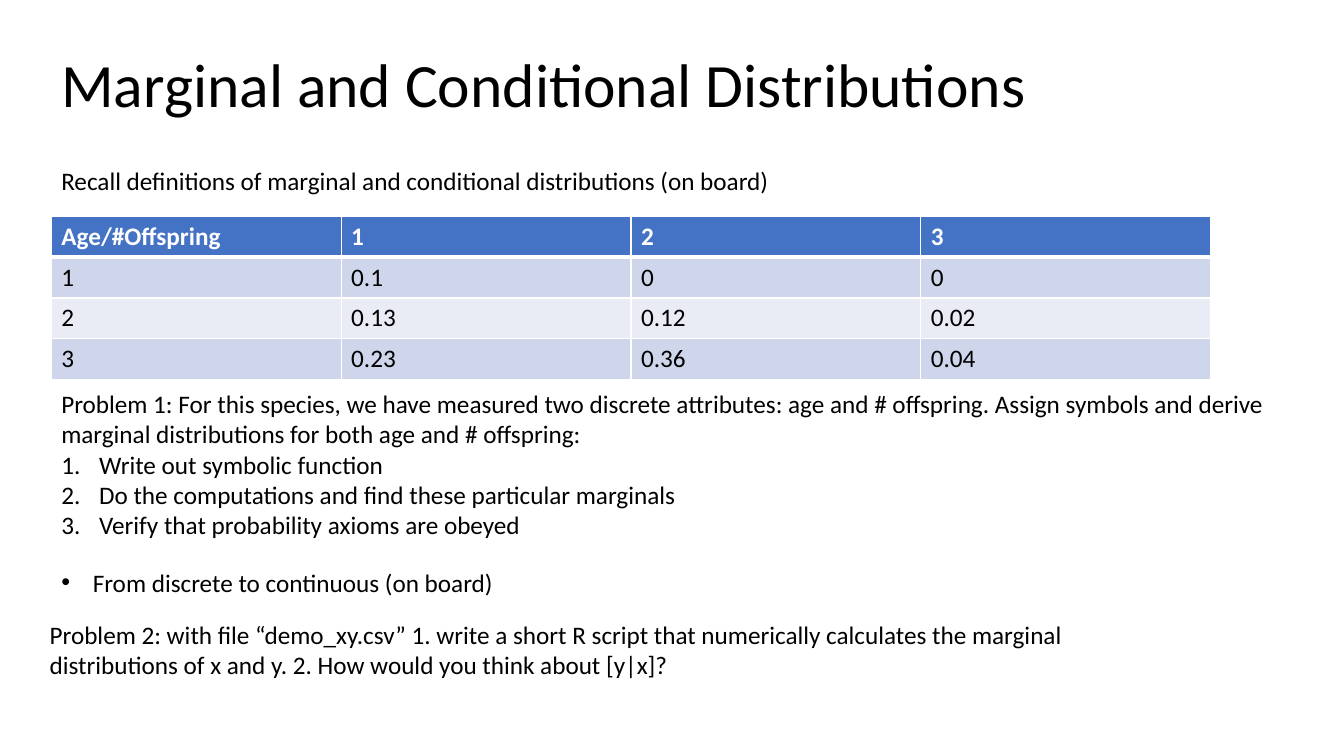
"""Build the marginal and conditional distributions slide."""
from lxml.etree import SubElement
from pptx import Presentation
from pptx.dml.color import RGBColor
from pptx.enum.text import MSO_ANCHOR
from pptx.oxml.ns import qn
from pptx.util import Pt

BLACK = RGBColor(0, 0, 0)
WHITE = RGBColor(255, 255, 255)
HEADER = RGBColor(0x44, 0x72, 0xC4)
BANDS = [RGBColor(0xE9, 0xEB, 0xF5), RGBColor(0xCF, 0xD5, 0xEA)]
LEFT = 36.7


def add_run(p, text, size=18, color=BLACK, bold=False):
    r = p.add_run()
    r.text = text
    for name, value in {"name": "Calibri", "size": Pt(size), "bold": bold}.items():
        setattr(r.font, name, value)
    r.font.color.rgb = color


def add_text(box, paragraphs, size=18, wrap=True):
    tf = s.shapes.add_textbox(*map(Pt, box)).text_frame
    tf.word_wrap = wrap
    for i, (text, bullet) in enumerate(paragraphs):
        p = tf.add_paragraph() if i else tf.paragraphs[0]
        add_run(p, text, size)
        if bullet:
            tag, key, value, indent = bullet
            pPr = p._p.get_or_add_pPr()
            pPr.set("marL", str(Pt(indent)))
            pPr.set("indent", str(-Pt(indent)))
            SubElement(pPr, qn("a:buFont"), typeface="Arial" if tag == "a:buChar" else "+mj-lt")
            SubElement(pPr, qn(tag), {key: value})
    return tf


prs = Presentation()
prs.slide_width, prs.slide_height = Pt(960), Pt(540)
s = prs.slides.add_slide(prs.slide_layouts[6])

tf = add_text((LEFT, 10, 828, 104.4), [("Marginal and Conditional Distributions", None)], size=44)
tf.vertical_anchor = MSO_ANCHOR.MIDDLE
tf.paragraphs[0].line_spacing = 0.9

rows = [
    ["Age/#Offspring", "1", "2", "3"],
    ["1", "0.1", "0", "0"],
    ["2", "0.13", "0.12", "0.02"],
    ["3", "0.23", "0.36", "0.04"],
]
table = s.shapes.add_table(4, 4, Pt(LEFT), Pt(154.4), Pt(828), Pt(116.8)).table
for i, row in enumerate(rows):
    for j, text in enumerate(row):
        cell = table.cell(i, j)
        add_run(cell.text_frame.paragraphs[0], text, color=BLACK if i else WHITE, bold=i == 0)
        tcPr = cell._tc.get_or_add_tcPr()
        for side in "LRTB":
            thick = (i, side) in [(0, "B"), (1, "T")]
            ln = SubElement(tcPr, qn(f"a:ln{side}"), w=str(Pt(3 if thick else 1)))
            SubElement(SubElement(ln, qn("a:solidFill")), qn("a:srgbClr"), val=str(WHITE))
        cell.fill.solid()
        cell.fill.fore_color.rgb = BANDS[i % 2] if i else HEADER

number = ("a:buAutoNum", "type", "arabicPeriod", 27)
dot = ("a:buChar", "char", "•", 22.5)
add_text((LEFT, 273.9, 892, 138), [
    ("Problem 1: For this species, we have measured two discrete attributes: age and # offspring. "
     "Assign symbols and derive marginal distributions for both age and # offspring:", None),
    ("Write out symbolic function", number),
    ("Do the computations and find these particular marginals", number),
    ("Verify that probability axioms are obeyed", number),
])
add_text((LEFT, 114.4, 526.4, 29), [
    ("Recall definitions of marginal and conditional distributions (on board)", None)], wrap=False)
add_text((LEFT, 401.4, 330.5, 29), [("From discrete to continuous (on board)", dot)], wrap=False)
add_text((28.4, 438.8, 798, 51), [
    ("Problem 2: with file “demo_xy.csv” 1. write a short R script that numerically calculates "
     "the marginal distributions of x and y. 2. How would you think about [y|x]?", None)])

prs.save("out.pptx")
